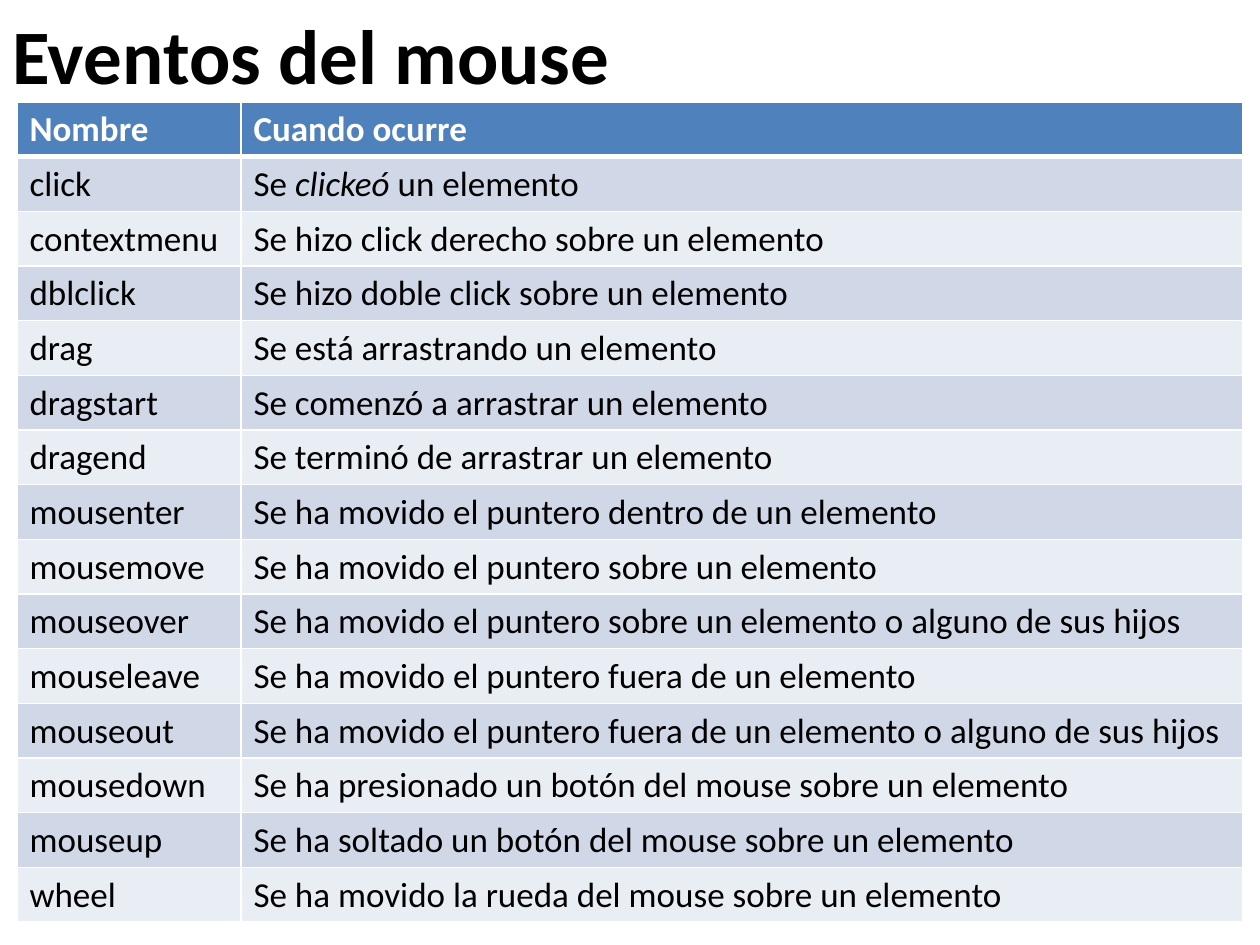
from dataclasses import dataclass

import pptx
import pptx.dml.color
import pptx.enum.text
import pptx.oxml.ns
import pptx.util
from lxml import etree

Pt = pptx.util.Pt


@dataclass(frozen=True)
class Theme:
    font: str = "Calibri"
    title_size: int = 44
    table_size: int = 20
    text: str = "000000"
    light: str = "FFFFFF"
    header: str = "4F81BD"
    bands: tuple = ("D0D8E8", "E9EDF4")
    rule: int = 1
    header_rule: int = 3


@dataclass(frozen=True)
class Box:
    left: float
    top: float
    width: float
    height: float

    def lengths(self):
        return Pt(self.left), Pt(self.top), Pt(self.width), Pt(self.height)


THEME = Theme()
NAME_COLUMN = 128

# Asterisks enclose italic words.
EVENTS = [
    ("Nombre", "Cuando ocurre"),
    ("click", "Se *clickeó* un elemento"),
    ("contextmenu", "Se hizo click derecho sobre un elemento"),
    ("dblclick", "Se hizo doble click sobre un elemento"),
    ("drag", "Se está arrastrando un elemento"),
    ("dragstart", "Se comenzó a arrastrar un elemento"),
    ("dragend", "Se terminó de arrastrar un elemento"),
    ("mousenter", "Se ha movido el puntero dentro de un elemento"),
    ("mousemove", "Se ha movido el puntero sobre un elemento"),
    ("mouseover", "Se ha movido el puntero sobre un elemento o alguno de sus hijos"),
    ("mouseleave", "Se ha movido el puntero fuera de un elemento"),
    ("mouseout", "Se ha movido el puntero fuera de un elemento o alguno de sus hijos"),
    ("mousedown", "Se ha presionado un botón del mouse sobre un elemento"),
    ("mouseup", "Se ha soltado un botón del mouse sobre un elemento"),
    ("wheel", "Se ha movido la rueda del mouse sobre un elemento"),
]


def style_paragraph(paragraph, size, color, bold):
    font = paragraph.font
    font.name = THEME.font
    font.size = Pt(size)
    font.bold = bold
    font.color.rgb = pptx.dml.color.RGBColor.from_string(color)


def add_title(slide, box, text):
    shape = slide.shapes.add_textbox(*box.lengths())
    frame = shape.text_frame
    frame.word_wrap = True
    frame.auto_size = pptx.enum.text.MSO_AUTO_SIZE.SHAPE_TO_FIT_TEXT
    frame.text = text
    style_paragraph(frame.paragraphs[0], THEME.title_size, THEME.text, True)


def set_borders(cell, top, bottom):
    """Draw the four cell borders; must precede the cell fill in the XML."""
    properties = cell._tc.get_or_add_tcPr()
    widths = {"lnL": THEME.rule, "lnR": THEME.rule, "lnT": top, "lnB": bottom}
    qn = pptx.oxml.ns.qn
    for tag, width in widths.items():
        line = etree.SubElement(properties, qn(f"a:{tag}"), w=str(Pt(width)))
        fill = etree.SubElement(line, qn("a:solidFill"))
        etree.SubElement(fill, qn("a:srgbClr"), val=THEME.light)


def fill_cell(cell, text, row):
    is_header = row == 0
    set_borders(
        cell,
        top=THEME.header_rule if row == 1 else THEME.rule,
        bottom=THEME.header_rule if is_header else THEME.rule,
    )
    background = THEME.header if is_header else THEME.bands[(row - 1) % 2]
    cell.fill.solid()
    cell.fill.fore_color.rgb = pptx.dml.color.RGBColor.from_string(background)

    paragraph = cell.text_frame.paragraphs[0]
    for index, part in enumerate(text.split("*")):
        run = paragraph.add_run()
        run.text = part
        if index % 2:
            run.font.italic = True
    color = THEME.light if is_header else THEME.text
    style_paragraph(paragraph, THEME.table_size, color, is_header)


def add_event_table(slide, box, events):
    table = slide.shapes.add_table(len(events), 2, *box.lengths()).table
    for column, width in zip(table.columns, (NAME_COLUMN, box.width - NAME_COLUMN)):
        column.width = Pt(width)
    for row, texts in enumerate(events):
        table.rows[row].height = Pt(box.height / len(events))
        for column, text in enumerate(texts):
            fill_cell(table.cell(row, column), text, row)


def main():
    presentation = pptx.Presentation()
    presentation.slide_width = Pt(720)
    presentation.slide_height = Pt(540)
    slide = presentation.slides.add_slide(presentation.slide_layouts[6])
    add_title(slide, Box(0, 0.7, 720, 60.6), "Eventos del mouse")
    add_event_table(slide, Box(9.7, 58.3, 700.3, 468), EVENTS)
    presentation.save("out.pptx")


if __name__ == "__main__":
    main()
